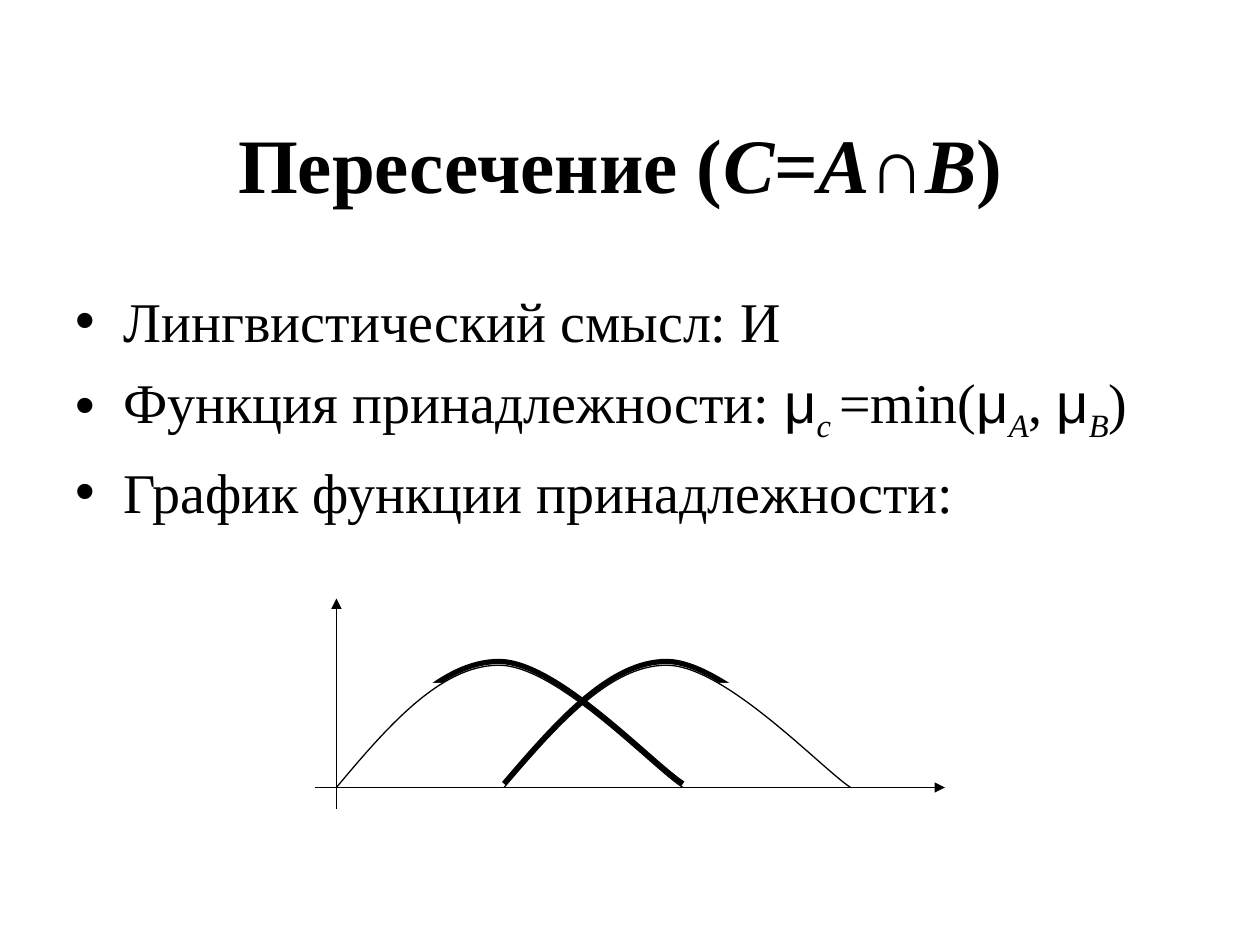
import pptx
import pptx.dml.color
import pptx.enum.shapes
import pptx.enum.text
import pptx.oxml
import pptx.oxml.ns
import pptx.util
from pptx.util import Inches

COLORS = {"ink": "000000", "paper": "FFFFFF"}
RGB = {name: pptx.dml.color.RGBColor.from_string(c) for name, c in COLORS.items()}
qn = pptx.oxml.ns.qn


def add_runs(p, parts, size, bold=False):
    for text, style in parts:
        r = p.add_run()
        r.text = text
        r.font.size = pptx.util.Pt(size)
        r.font.bold = bold
        r.font.italic = "i" in style
        r.font.name = "Arial" if "a" in style else "Times New Roman"
        r.font.color.rgb = RGB["ink"]
        if "s" in style:
            r.font._element.set("baseline", "-25000")


def add_curve(points, dy, width):
    pts = [(Inches(x), Inches(y + dy)) for x, y in points]
    fb = s.shapes.build_freeform(*pts[0])
    fb.add_line_segments(pts[1:], close=False)
    sp = fb.convert_to_shape()
    sp.shadow.inherit = False
    sp.fill.background()
    sp.line.color.rgb = RGB["ink"]
    sp.line.width = pptx.util.Pt(width)
    path = sp._element.find(".//" + qn("a:path"))
    segments = path.findall(qn("a:lnTo"))
    for i in range(0, len(segments), 3):
        bezier = pptx.oxml.parse_xml(f"<a:cubicBezTo {pptx.oxml.ns.nsdecls('a')}/>")
        path.append(bezier)
        for segment in segments[i:i + 3]:
            bezier.append(segment[0])
            path.remove(segment)


prs = pptx.Presentation()
prs.slide_width, prs.slide_height = Inches(10), Inches(7.5)
s = prs.slides.add_slide(prs.slide_layouts[1])
s.background.fill.solid()
s.background.fill.fore_color.rgb = RGB["paper"]

title, body = s.shapes.title, s.placeholders[1]
for sp, box in ((title, (0.75, 0.67, 8.5, 1.25)), (body, (0.5, 2.17, 9, 4.5))):
    sp.left, sp.top, sp.width, sp.height = [Inches(v) for v in box]
    sp.text_frame.word_wrap = True
    sp.text_frame.auto_size = pptx.enum.text.MSO_AUTO_SIZE.NONE

title.text_frame.vertical_anchor = pptx.enum.text.MSO_ANCHOR.MIDDLE
p = title.text_frame.paragraphs[0]
p.alignment = pptx.enum.text.PP_ALIGN.CENTER
add_runs(p, [("Пересечение (", ""), ("C", "i"), ("=", ""), ("A", "i"),
             ("∩", "a"), ("B", "i"), (") ", "")], 44, bold=True)

bullets = [
    [("Лингвистический смысл: И", "")],
    [("Функция принадлежности: ", ""), ("μ", "a"), ("c ", "is"), ("=min(", ""),
     ("μ", "a"), ("A", "is"), (", ", ""), ("μ", "a"), ("B", "is"), (")", "")],
    [("График функции принадлежности:", "")],
]
tf = body.text_frame
tf.margin_top = Inches(0.1)
for i, parts in enumerate(bullets):
    p = tf.add_paragraph() if i else tf.paragraphs[0]
    p.space_before = pptx.util.Pt(8 if i else 0)
    pPr = p._p.get_or_add_pPr()
    pPr.set("marL", str(Inches(0.38)))
    pPr.set("indent", str(-Inches(0.38)))
    pPr.append(pptx.oxml.parse_xml(f'<a:buChar {pptx.oxml.ns.nsdecls("a")} char="•"/>'))
    add_runs(p, parts, 32)

curve_b = [(4, 6.25), (4.42, 5.76), (4.84, 5.28), (5.29, 5.28),
           (5.75, 5.28), (6.51, 6.09), (6.75, 6.25)]
curve_a = [(2.67, 6.25), (3.08, 5.76), (3.5, 5.28), (3.96, 5.28),
           (4.42, 5.28), (5.17, 6.09), (5.42, 6.25)]

for curve in (curve_b, curve_a):
    add_curve(curve, -0.03, 3)

for left in (5.67, 2.58):
    mask = s.shapes.add_shape(pptx.enum.shapes.MSO_SHAPE.RECTANGLE,
                              Inches(left), Inches(5.42), Inches(1.17), Inches(0.82))
    mask.shadow.inherit = False
    mask.fill.solid()
    mask.fill.fore_color.rgb = RGB["paper"]
    mask.line.fill.background()

for ends in ((2.67, 6.42, 2.67, 4.75), (2.5, 6.25, 7.5, 6.25)):
    axis = s.shapes.add_connector(pptx.enum.shapes.MSO_CONNECTOR.STRAIGHT,
                                  *[Inches(v) for v in ends])
    axis.line.color.rgb = RGB["ink"]
    axis.line.width = pptx.util.Pt(0.75)
    axis.line._get_or_add_ln().append(
        pptx.oxml.parse_xml(f'<a:tailEnd {pptx.oxml.ns.nsdecls("a")} type="triangle"/>'))
    axis._element.spPr.append(
        pptx.oxml.parse_xml(f"<a:effectLst {pptx.oxml.ns.nsdecls('a')}/>"))

for curve in (curve_b, curve_a):
    add_curve(curve, 0, 0.75)

prs.save("out.pptx")
